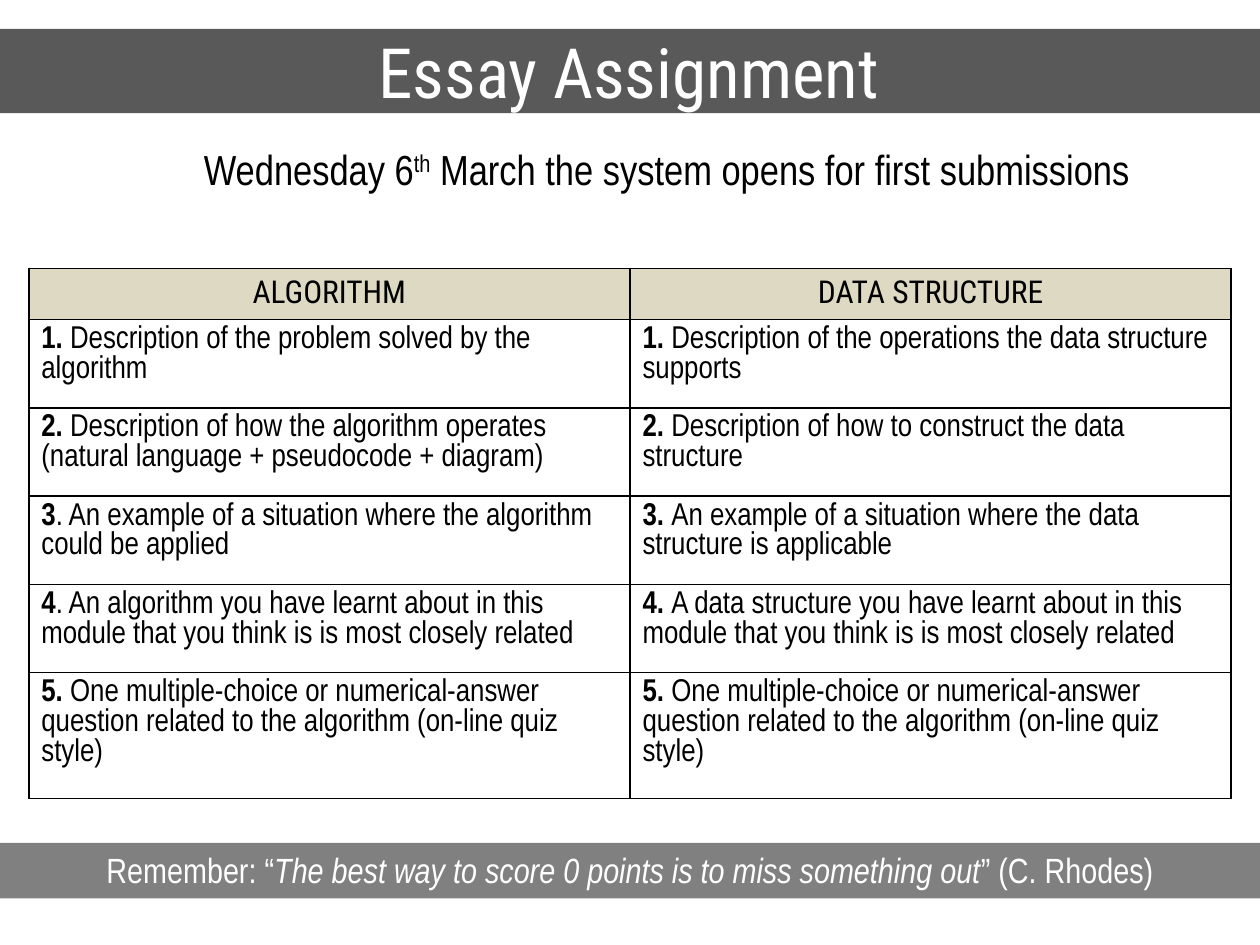
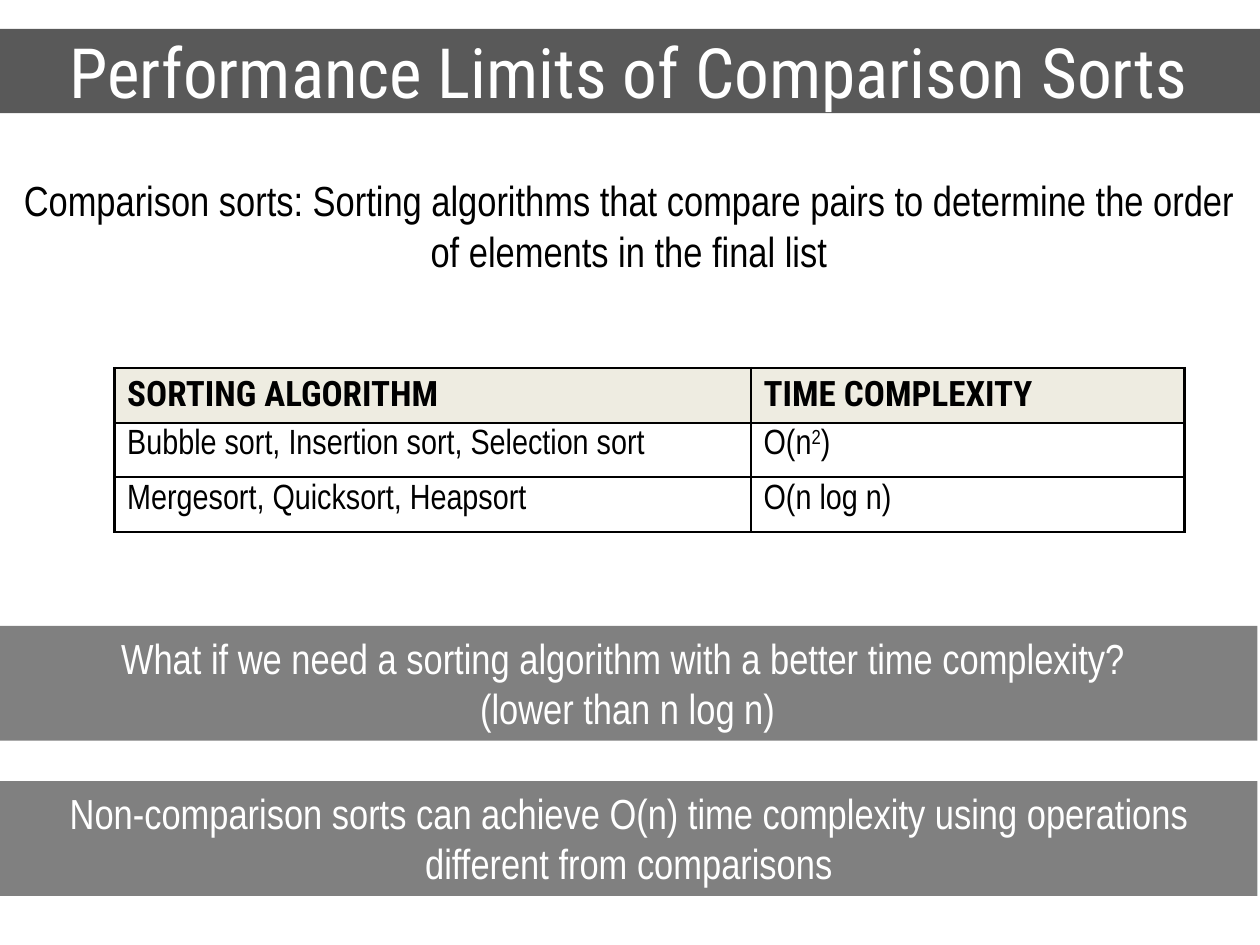
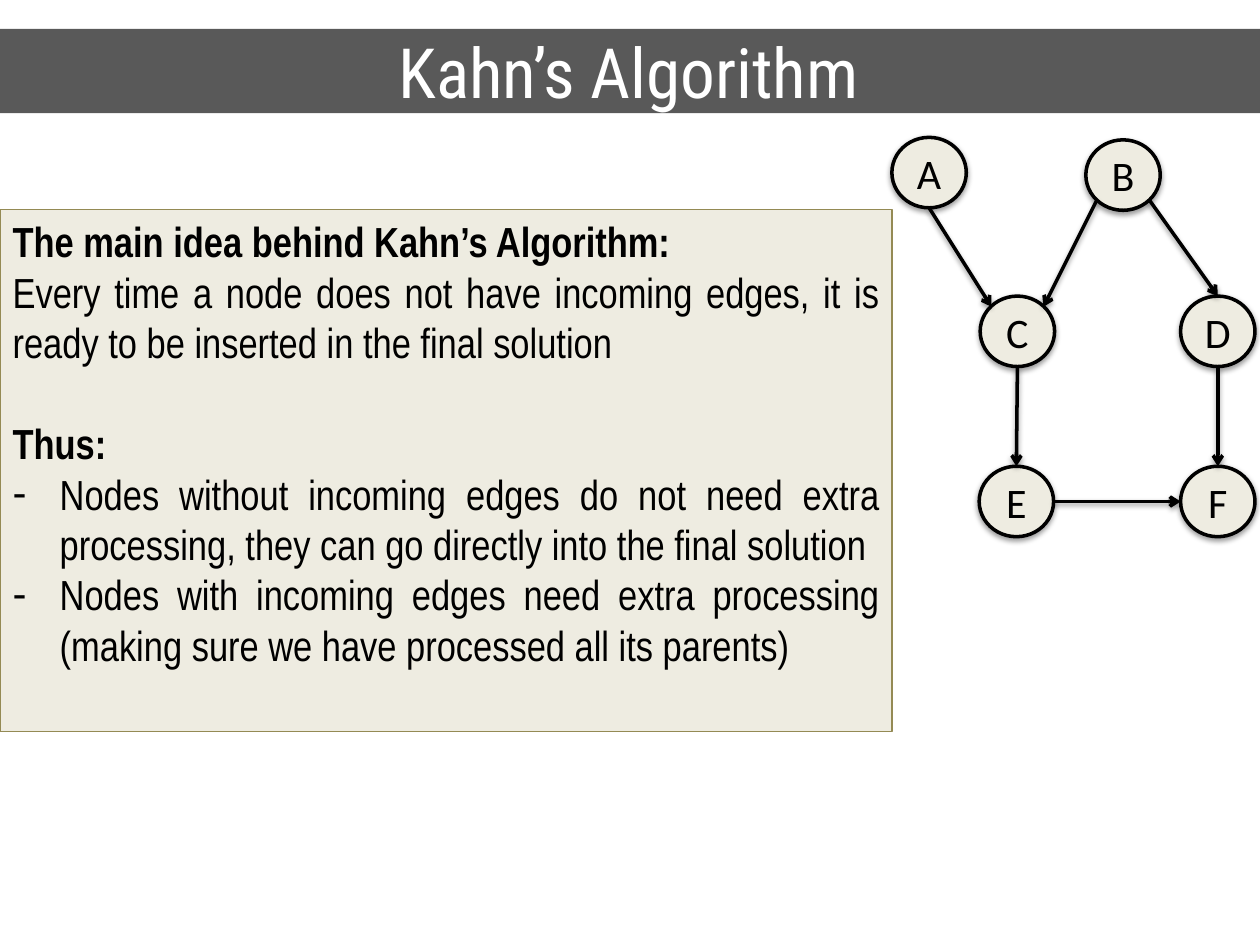
from lxml import etree
from pptx import Presentation
from pptx import util as u
from pptx.dml.color import RGBColor
from pptx.enum import shapes, text
from pptx.oxml import ns, parse_xml

Cm, Pt = u.Cm, u.Pt
AL = text.PP_ALIGN
COLORS = {"title": "595959", "band": "808080", "white": "FFFFFF", "black": "000000",
          "sand": "DDD9C3", "cream": "EEECE1", "olive": "948A54"}
HEAD, BODY, NODE = "Roboto Condensed", "Arial Narrow", "Calibri"
BOLD, ITALIC, SUPER = {"bold": True}, {"italic": True}, {"baseline": 30000}
TITLE_BOX = (-0.05, 0.58, 25.45, 1.7)
NODE_W, NODE_H = 1.5, 1.42
LOW, HIGH = 0.15, 0.85
SHADOW = ('<a:outerShdw %s blurRad="39370" dist="20320" dir="5400000" rotWithShape="0">'
          '<a:srgbClr val="000000"><a:alpha val="38000"/></a:srgbClr></a:outerShdw>'
          % ns.nsdecls("a"))


def rgb(name):
    return RGBColor.from_string(COLORS[name])


class Deck:
    """Holds the shared style and the current slide, and draws each kind of element."""

    def __init__(self):
        self.prs = Presentation()
        self.prs.slide_width, self.prs.slide_height = Cm(25.4), Cm(19.05)
        self.s = None

    def slide(self, title, layout=5):
        self.s = self.prs.slides.add_slide(self.prs.slide_layouts[layout])
        sp = self.s.shapes.title
        self.place(sp, TITLE_BOX)
        self.paint(sp, "title")
        self.frame(sp.text_frame, text.MSO_ANCHOR.MIDDLE)
        self.put(sp.text_frame, [[title]], AL.CENTER, name=HEAD, size=39.6, color="white")

    def place(self, sp, box):
        for key, value in zip(("left", "top", "width", "height"), box):
            setattr(sp, key, Cm(value))

    def paint(self, sp, fill, line=None, width=0):
        sp.fill.solid()
        sp.fill.fore_color.rgb = rgb(fill)
        if line:
            self.stroke(sp, line, width)
        else:
            sp.line.fill.background()

    def stroke(self, sp, color, width):
        sp.line.color.rgb = rgb(color)
        sp.line.width = Pt(width)

    def shade(self, sp):
        sp._element.spPr.get_or_add_effectLst().append(parse_xml(SHADOW))

    def frame(self, tf, anchor=text.MSO_ANCHOR.TOP):
        fmt = {"word_wrap": True, "auto_size": text.MSO_AUTO_SIZE.NONE, "vertical_anchor": anchor}
        for key, value in fmt.items():
            setattr(tf, key, value)

    def put(self, tf, paras, align, **base):
        for i, runs in enumerate(paras):
            p = tf.add_paragraph() if i else tf.paragraphs[0]
            p.alignment = align
            for part in runs:
                words, extra = (part, {}) if isinstance(part, str) else part
                fmt = {"bold": False, "italic": False, **base, **extra}
                fmt["size"] = Pt(fmt["size"])
                color, baseline = fmt.pop("color"), fmt.pop("baseline", None)
                r = p.add_run()
                r.text = words
                for key, value in fmt.items():
                    setattr(r.font, key, value)
                r.font.color.rgb = rgb(color)
                if baseline:
                    r._r.get_or_add_rPr().set("baseline", str(baseline))

    def label(self, box, paras, align=AL.LEFT):
        sp = self.s.shapes.add_textbox(*map(Cm, box))
        self.frame(sp.text_frame)
        self.put(sp.text_frame, paras, align, name=BODY, size=24, color="black")

    def band(self, box, paras, size=24):
        sp = self.s.shapes.add_shape(shapes.MSO_SHAPE.RECTANGLE, *map(Cm, box))
        sp.shadow.inherit = False
        self.paint(sp, "band")
        self.frame(sp.text_frame)
        self.put(sp.text_frame, paras, AL.CENTER, name=BODY, size=size, color="white")

    def panel(self, box, items):
        sp = self.s.placeholders[1]
        self.place(sp, box)
        self.paint(sp, "cream", "olive", 0.75)
        tf = sp.text_frame
        self.frame(tf)
        self.put(tf, [[run] for run, _, _ in items], AL.JUSTIFY,
                 name=BODY, size=24, color="black")
        for p, (_, bullet, gap) in zip(tf.paragraphs, items):
            p.space_before = Pt(gap)
            pPr = p._p.get_or_add_pPr()
            indent = Cm(0.95) if bullet else 0
            pPr.set("marL", str(indent))
            pPr.set("indent", str(-indent))
            bu = etree.SubElement(pPr, ns.qn("a:buChar" if bullet else "a:buNone"))
            if bullet:
                bu.set("char", "-")

    def table(self, left, top, widths, heights, rows, fill, border, size, head_align, head_bold):
        shape = self.s.shapes.add_table(len(rows), len(widths), Cm(left), Cm(top),
                                        Cm(sum(widths)), Cm(sum(heights)))
        tbl = shape.table
        tbl.horz_banding = False
        for col, width in zip(tbl.columns, widths):
            col.width = Cm(width)
        for i, (row, height) in enumerate(zip(rows, heights)):
            tbl.rows[i].height = Cm(height)
            for j, runs in enumerate(row):
                cell = tbl.cell(i, j)
                if i == 0:
                    cell.fill.solid()
                    cell.fill.fore_color.rgb = rgb(fill)
                    self.put(cell.text_frame, [runs], head_align, name=HEAD, size=size,
                             color="black", bold=head_bold)
                else:
                    cell.fill.background()
                    self.put(cell.text_frame, [runs], AL.LEFT, name=BODY, size=size,
                             color="black")
                self.borders(cell, border)

    def borders(self, cell, width):
        tcPr = cell._tc.get_or_add_tcPr()
        for i, side in enumerate("LRTB"):
            tcPr.insert(i, parse_xml(
                f'<a:ln{side} {ns.nsdecls("a")} w="{Pt(width)}"><a:solidFill>'
                f'<a:srgbClr val="{COLORS["black"]}"/></a:solidFill></a:ln{side}>'))

    def node(self, name, left, top):
        sp = self.s.shapes.add_shape(shapes.MSO_SHAPE.OVAL, Cm(left), Cm(top),
                                     Cm(NODE_W), Cm(NODE_H))
        self.paint(sp, "cream", "black", 2)
        self.shade(sp)
        self.frame(sp.text_frame, text.MSO_ANCHOR.MIDDLE)
        self.put(sp.text_frame, [[name]], AL.CENTER, name=NODE, size=24, color="black")

    def arrow(self, start, end):
        sp = self.s.shapes.add_connector(shapes.MSO_CONNECTOR.STRAIGHT, *map(Cm, start + end))
        self.stroke(sp, "black", 2)
        etree.SubElement(sp.get_or_add_ln(), ns.qn("a:tailEnd")).set("type", "arrow")
        self.shade(sp)


def essay(deck):
    deck.slide("Essay Assignment")
    deck.label((3.86, 2.77, 19.41, 1.27), [[
        "Wednesday 6", ("th", SUPER), " March the system opens for first submissions"]])
    quiz = ("5. |One multiple-choice or numerical-answer question related to the algorithm "
            "(on-line quiz style)")
    closest = "you have learnt about in this module that you think is is most closely related"
    tasks = [
        ("1. |Description of the problem solved by the algorithm",
         "1. |Description of the operations the data structure supports"),
        ("2. |Description of how the algorithm operates (natural language + pseudocode + diagram)",
         "2. |Description of how to construct the data structure"),
        ("3|. An example of a situation where the algorithm could be applied",
         "3. |An example of a situation where the data structure is applicable"),
        ("4|. An algorithm " + closest, "4. |A data structure " + closest),
        (quiz, quiz),
    ]
    rows = [[["ALGORITHM"], ["DATA STRUCTURE"]]]
    for pair in tasks:
        split = [task.split("|") for task in pair]
        rows.append([[(number, BOLD), words] for number, words in split])
    deck.table(0.58, 5.41, [12.12] * 2, [1.03] + [1.78] * 4 + [2.54], rows,
               "sand", 1, 18, AL.CENTER, False)
    deck.band((0, 16.99, 25.4, 1.12), [[
        "Remember: “", ("The best way to score 0 points is to miss something out", ITALIC),
        "” (C. Rhodes)"]], 20)


def sorts(deck):
    deck.slide("Performance Limits of Comparison Sorts")
    deck.label((-0.05, 3.4, 25.45, 2.31), [[
        "Comparison sorts: Sorting algorithms that compare pairs to determine the order "
        "of elements in the final list"]], AL.CENTER)
    rows = [[["SORTING ALGORITHM"], ["TIME COMPLEXITY"]],
            [["Bubble sort, Insertion sort, Selection sort"], ["O(n", ("2", SUPER), ")"]],
            [["Mergesort, Quicksort, Heapsort"], ["O(n log n)"]]]
    deck.table(2.31, 7.42, [12.83, 8.74], [1.1] * 3, rows, "cream", 1.5, 20, AL.LEFT, True)
    deck.band((-0.05, 12.62, 25.4, 2.31), [
        ["What if we need a sorting algorithm with a better time complexity? "],
        ["(lower than n log n)"]])
    deck.band((0, 15.75, 25.35, 2.31), [[
        "Non-comparison sorts can achieve O(n) time complexity using operations "
        "different from comparisons"]])


def kahn(deck):
    deck.slide("Kahn’s Algorithm", layout=1)
    deck.panel((0, 4.22, 17.98, 10.52), [
        (("The main idea behind Kahn’s Algorithm:", BOLD), False, 0),
        ("Every time a node does not have incoming edges, it is ready to be inserted "
         "in the final solution", False, 0),
        (("Thus:", BOLD), False, 29),
        ("Nodes without incoming edges do not need extra processing, they can go directly "
         "into the final solution", True, 0),
        ("Nodes with incoming edges need extra processing (making sure we have processed "
         "all its parents)", True, 0)])
    nodes = {"A": (17.98, 2.77), "B": (21.89, 2.82), "C": (19.76, 5.97),
             "D": (23.8, 5.97), "E": (19.74, 9.4), "F": (23.8, 9.4)}
    top, bottom, left, right = (0.5, 0), (0.5, 1), (0, 0.5), (1, 0.5)
    edges = [("A", bottom, "C", (LOW, LOW)), ("B", (LOW, HIGH), "C", (HIGH, LOW)),
             ("B", (HIGH, HIGH), "D", top), ("C", bottom, "E", top),
             ("D", bottom, "F", top), ("E", right, "F", left)]

    def rim(name, at):
        x, y = nodes[name]
        return x + at[0] * NODE_W, y + at[1] * NODE_H

    for name, spot in nodes.items():
        deck.node(name, *spot)
    for source, leave, target, enter in edges:
        deck.arrow(rim(source, leave), rim(target, enter))


def main():
    deck = Deck()
    for build in (essay, sorts, kahn):
        build(deck)
    deck.prs.save("out.pptx")


if __name__ == "__main__":
    main()
